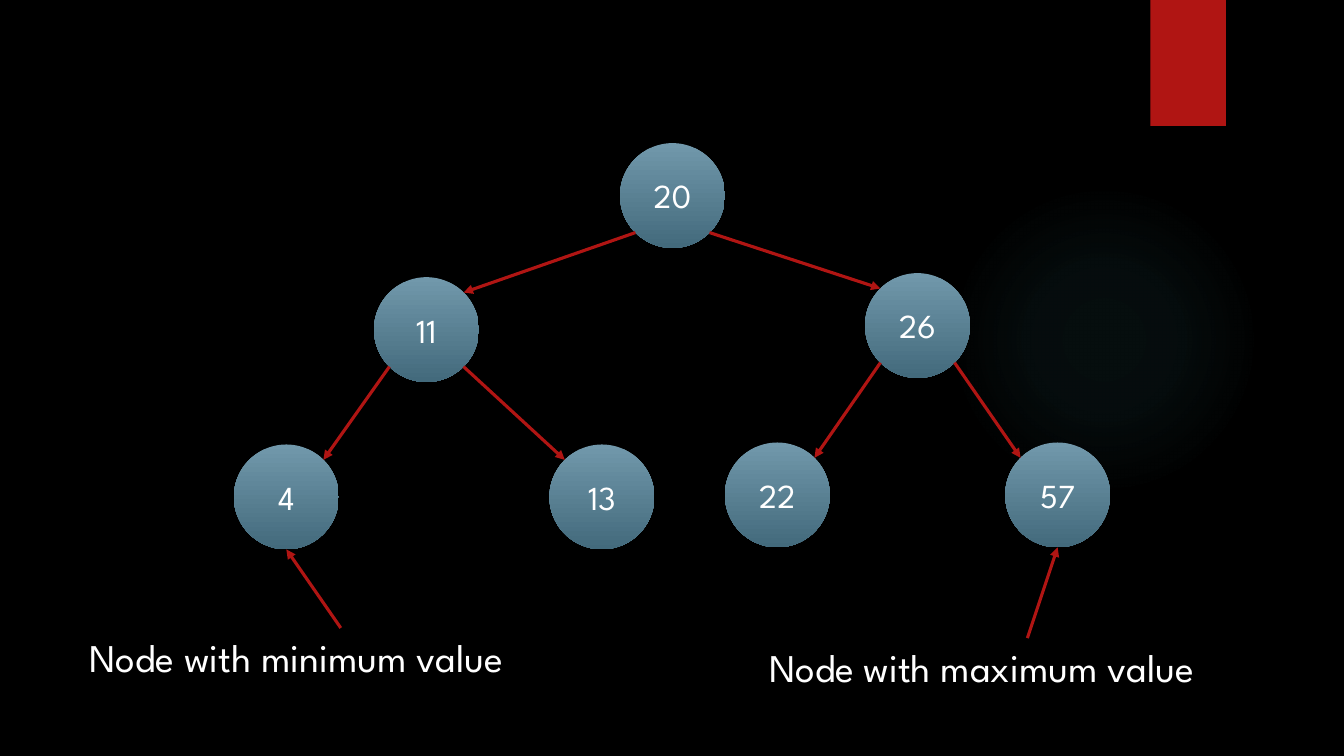
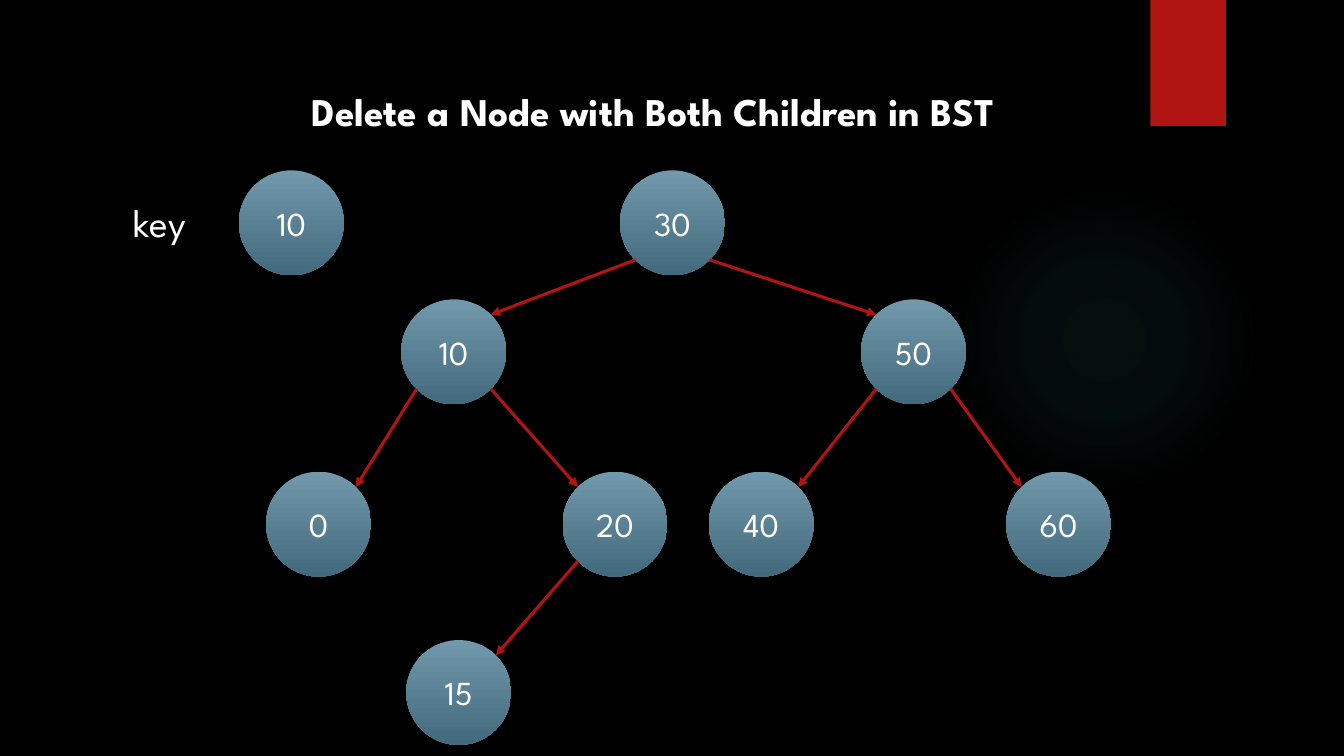
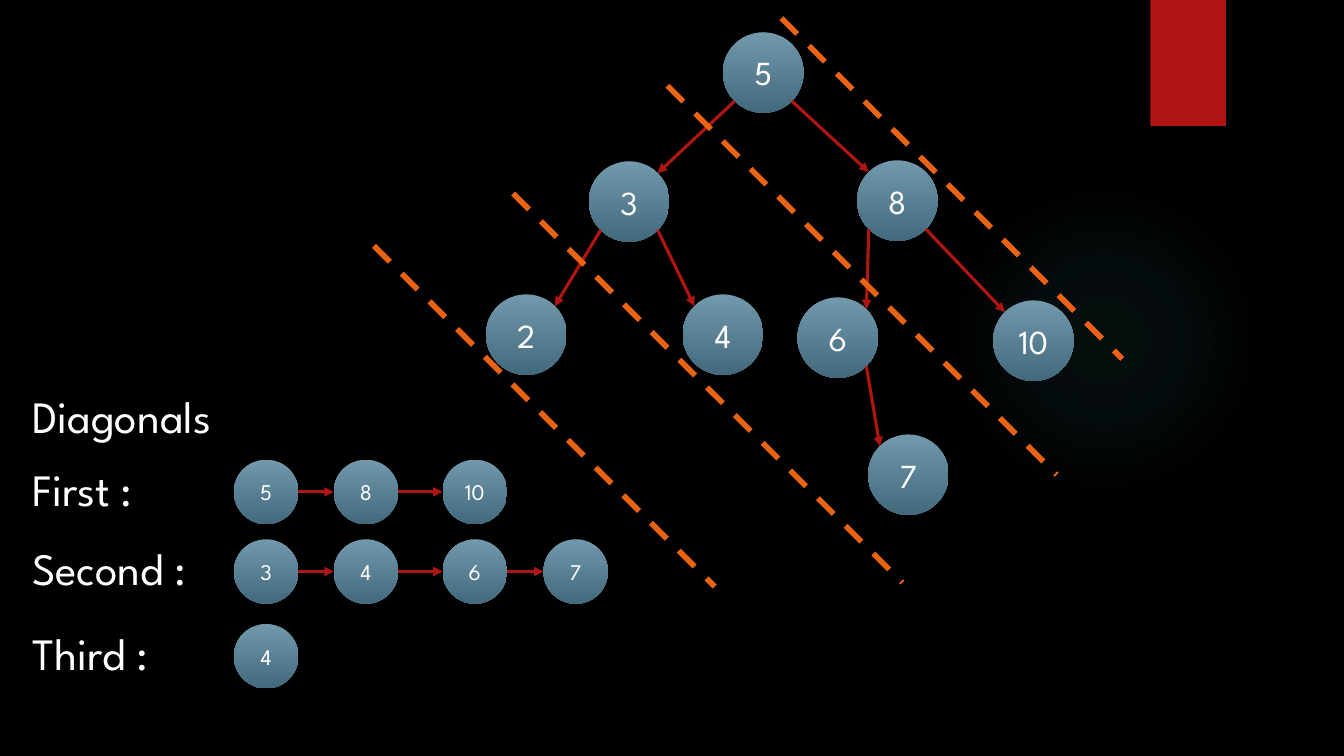
import math

import pptx
import pptx.dml.color
import pptx.enum.dml
import pptx.enum.shapes
import pptx.enum.text
import pptx.oxml
import pptx.oxml.ns
import pptx.util
from pptx.util import Inches

RGBColor = pptx.dml.color.RGBColor
BLACK = RGBColor(0x00, 0x00, 0x00)
WHITE = RGBColor(0xFF, 0xFF, 0xFF)
RED = RGBColor(0xB0, 0x15, 0x13)
ORANGE = RGBColor(0xEA, 0x63, 0x12)
NODE_TOP = RGBColor(0x71, 0x98, 0xAB)
NODE_BOTTOM = RGBColor(0x43, 0x6A, 0x7C)
GLOW = RGBColor(0x50, 0xB9, 0xC1)

FONT = "League Spartan"
GLOW_STOPS = ((0, 7), (36, 6), (69, 0))
TITLE_ONLY, BLANK = 5, 6
RECTANGLE = pptx.enum.shapes.MSO_SHAPE.RECTANGLE
OVAL = pptx.enum.shapes.MSO_SHAPE.OVAL
MIDDLE = pptx.enum.text.MSO_ANCHOR.MIDDLE
LEFT = pptx.enum.text.PP_ALIGN.LEFT
CENTER = pptx.enum.text.PP_ALIGN.CENTER

EXTREMES_TREE = (
    (20, None, 3.83, 0),
    (11, 20, 1.39, 1.33),
    (26, 20, 6.26, 1.29),
    (4, 11, 0, 2.99),
    (13, 11, 3.13, 2.99),
    (22, 26, 4.87, 2.97),
    (57, 26, 7.65, 2.97),
)
DELETION_TREE = (
    (30, None, 3.51, 0),
    (10, 30, 1.34, 1.28),
    (50, 30, 5.9, 1.28),
    (0, 10, 0, 2.99),
    (20, 10, 2.94, 2.99),
    (40, 50, 4.39, 2.99),
    (60, 50, 7.34, 2.99),
    (15, 20, 1.39, 4.66),
)
DIAGONAL_TREE = (
    (5, None, 2.35, 0),
    (3, 5, 1.02, 1.28),
    (8, 5, 3.68, 1.27),
    (2, 3, 0, 2.6),
    (4, 3, 1.95, 2.6),
    (6, 8, 3.09, 2.63),
    (10, 8, 5.03, 2.66),
    (7, 6, 3.79, 3.99),
)
DIAGONAL_LINES = ((2.93, -0.14, 3.38), (1.8, 0.53, 3.86), (0.27, 1.6, 3.86), (-1.11, 2.12, 3.38))
CHAINS = (
    ("First :", 4.53, (5, 8, 10)),
    ("Second :", 5.32, (3, 4, 6, 7)),
    ("Third :", 6.16, (4,)),
)
CHAIN_COLUMNS = (2.1, 3.09, 4.17, 5.17)


def format_text(text_frame, text, size, alignment=LEFT, bold=False):
    text_frame.text = text
    paragraph = text_frame.paragraphs[0]
    paragraph.alignment = alignment
    font = paragraph.font
    font.name = FONT
    font.size = pptx.util.Pt(size)
    font.bold = bold
    font.color.rgb = WHITE


def add_label(slide, text, left, top, width, height, size):
    box = slide.shapes.add_textbox(Inches(left), Inches(top), Inches(width), Inches(height))
    box.text_frame.word_wrap = True
    format_text(box.text_frame, text, size)


def add_plain_shape(slide, kind, left, top, width, height):
    shape = slide.shapes.add_shape(kind, Inches(left), Inches(top), Inches(width), Inches(height))
    shape.shadow.inherit = False
    shape.line.fill.background()
    return shape


def add_node(slide, value, left, top, diameter, size=24):
    node = add_plain_shape(slide, OVAL, left, top, diameter, diameter)
    node.fill.gradient()
    node.fill.gradient_angle = 270
    for stop, color in zip(node.fill.gradient_stops, (NODE_TOP, NODE_BOTTOM)):
        stop.color.rgb = color
    node.text_frame.word_wrap = False
    node.text_frame.vertical_anchor = MIDDLE
    format_text(node.text_frame, str(value), size, CENTER)
    return node


def add_line(slide, start, end, color, width):
    line = slide.shapes.add_connector(
        pptx.enum.shapes.MSO_CONNECTOR.STRAIGHT, *map(round, (*start, *end)))
    line.line.color.rgb = color
    line.line.width = pptx.util.Pt(width)
    properties = line.element.spPr
    properties.append(pptx.oxml.parse_xml(f"<a:effectLst {pptx.oxml.ns.nsdecls('a')}/>"))
    return line


def add_arrow(slide, start, end):
    arrow = add_line(slide, start, end, RED, 2.25)
    outline = arrow.element.spPr.find(pptx.oxml.ns.qn("a:ln"))
    outline.append(pptx.oxml.parse_xml(
        f"<a:tailEnd {pptx.oxml.ns.nsdecls('a')} type='triangle'/>"))


def rim_point(node, degrees):
    radius = node.width / 2
    angle = math.radians(degrees)
    return (node.left + radius + radius * math.cos(angle),
            node.top + radius + radius * math.sin(angle))


def add_tree(slide, tree, left, top, diameter):
    nodes = {}
    for value, parent, x, y in tree:
        nodes[value] = add_node(slide, value, left + x, top + y, diameter)
        if parent is not None:
            leave, arrive = (135, -45) if value < parent else (45, -135)
            add_arrow(slide, rim_point(nodes[parent], leave), rim_point(nodes[value], arrive))
    return nodes


def add_callout(slide, text, left, top, width, node):
    add_label(slide, text, left, top, width, 0.57, 28)
    add_arrow(slide, (Inches(left + width / 2), Inches(top)), rim_point(node, 90))


def add_diagonal_lines(slide, left, top):
    for x, y, reach in DIAGONAL_LINES:
        start = (Inches(left + x), Inches(top + y))
        end = (Inches(left + x + reach), Inches(top + y + reach))
        line = add_line(slide, start, end, ORANGE, 4)
        line.line.dash_style = pptx.enum.dml.MSO_LINE.DASH


def add_chain(slide, label, values, left, top):
    add_label(slide, label, left, top, 2.1, 0.64, 32)
    previous = None
    for value, column in zip(values, CHAIN_COLUMNS):
        node = add_node(slide, value, left + column, top + 0.03, 0.64, 16)
        if previous is not None:
            add_arrow(slide, rim_point(previous, 0), rim_point(node, 180))
        previous = node


def dress_master(presentation, slide):
    master = presentation.slide_master
    master.background.fill.solid()
    master.background.fill.fore_color.rgb = BLACK

    glow = add_plain_shape(slide, OVAL, 9.41, 1.83, 3.08, 3.08)
    glow.fill.background()
    stops = "".join(
        f"<a:gs pos='{position * 1000}'><a:srgbClr val='{GLOW}'>"
        f"<a:alpha val='{opacity * 1000}'/></a:srgbClr></a:gs>"
        for position, opacity in GLOW_STOPS)
    gradient = pptx.oxml.parse_xml(
        f"<a:gradFill {pptx.oxml.ns.nsdecls('a')}><a:gsLst>{stops}</a:gsLst>"
        "<a:path path='circle'><a:fillToRect l='50000' t='50000' r='50000' b='50000'/>"
        "</a:path></a:gradFill>")
    properties = glow.element.spPr
    properties.replace(properties.find(pptx.oxml.ns.qn("a:noFill")), gradient)

    band = add_plain_shape(slide, RECTANGLE, 11.41, 0, 0.75, 1.25)
    band.fill.solid()
    band.fill.fore_color.rgb = RED

    for identifier, shape in enumerate((glow, band), 101):
        shape.element.nvSpPr.cNvPr.set("id", str(identifier))
        master.shapes.element.append(shape.element)


def build_extremes_slide(slide):
    nodes = add_tree(slide, EXTREMES_TREE, 2.32, 1.42, 1.04)
    add_callout(slide, "Node with minimum value", 0.79, 6.23, 5.18, nodes[4])
    add_callout(slide, "Node with maximum value", 7.53, 6.33, 5.32, nodes[57])


def build_deletion_slide(slide):
    title = slide.shapes.title
    title.left, title.top = Inches(2.99), Inches(0.81)
    title.width, title.height = Inches(7.81), Inches(0.57)
    title.text_frame.auto_size = pptx.enum.text.MSO_AUTO_SIZE.NONE
    title.text_frame.vertical_anchor = MIDDLE
    format_text(title.text_frame, "Delete a Node with Both Children in BST", 28, bold=True)
    add_label(slide, "key", 1.23, 1.92, 0.86, 0.57, 28)
    add_node(slide, 10, 2.37, 1.69, 1.04)
    add_tree(slide, DELETION_TREE, 2.64, 1.69, 1.04)


def build_diagonals_slide(slide):
    add_tree(slide, DIAGONAL_TREE, 4.82, 0.32, 0.8)
    add_diagonal_lines(slide, 4.82, 0.32)
    add_label(slide, "Diagonals", 0.22, 3.81, 2.1, 0.64, 32)
    for label, top, values in CHAINS:
        add_chain(slide, label, values, 0.22, top)


def main():
    presentation = pptx.Presentation()
    presentation.slide_width = Inches(13.33)
    presentation.slide_height = Inches(7.5)
    extremes, deletion, diagonals = (
        presentation.slides.add_slide(presentation.slide_layouts[layout])
        for layout in (BLANK, TITLE_ONLY, BLANK))
    dress_master(presentation, extremes)
    build_extremes_slide(extremes)
    build_deletion_slide(deletion)
    build_diagonals_slide(diagonals)
    presentation.save("out.pptx")


if __name__ == "__main__":
    main()
